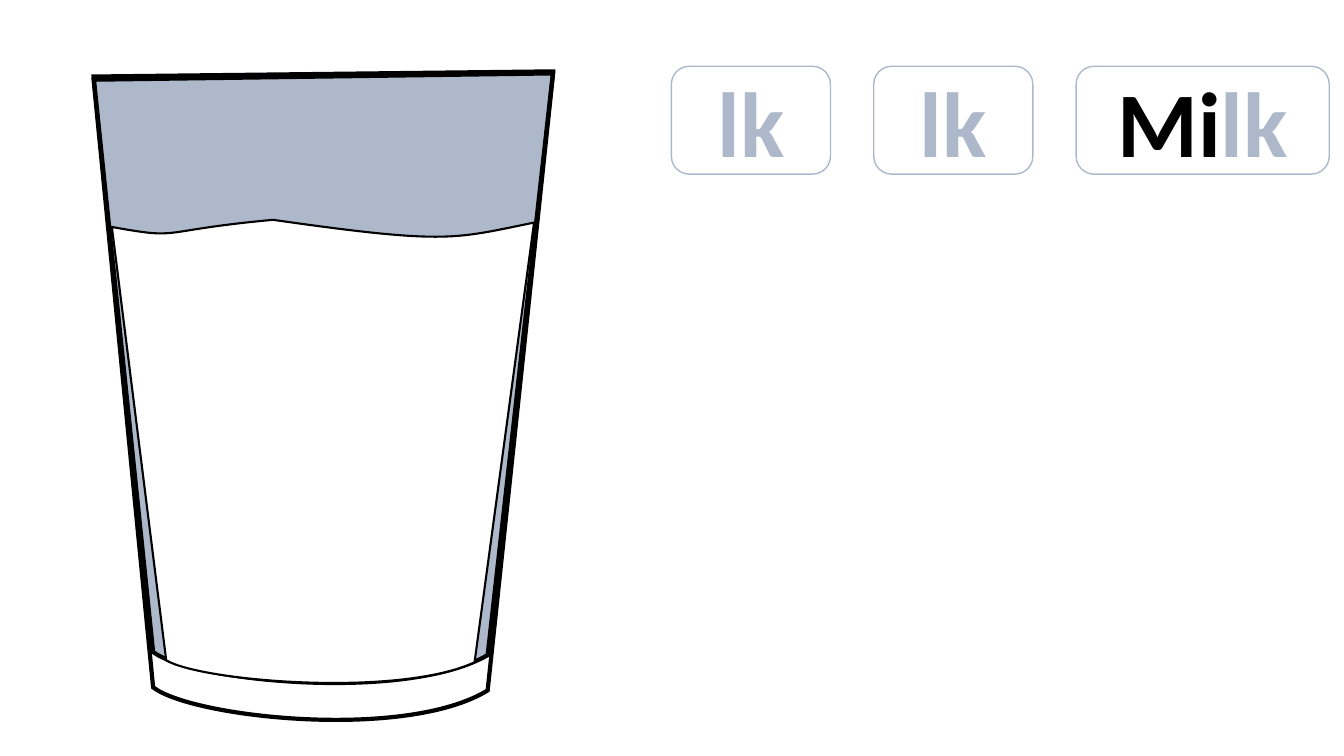
from dataclasses import dataclass

from lxml.etree import SubElement
from pptx import Presentation
from pptx.dml.color import RGBColor
from pptx.enum.shapes import MSO_SHAPE
from pptx.enum.text import MSO_ANCHOR, PP_ALIGN
from pptx.oxml.ns import qn
from pptx.shapes.autoshape import Shape
from pptx.shapes.group import GroupShape
from pptx.slide import Slide
from pptx.util import Cm, Pt

Point = tuple[float, float]
Segment = tuple[Point, ...]


@dataclass(frozen=True)
class Theme:
    ink: RGBColor = RGBColor(0x00, 0x00, 0x00)
    milk: RGBColor = RGBColor(0xFF, 0xFF, 0xFF)
    glass: RGBColor = RGBColor(0xAD, 0xB9, 0xCA)
    font: str = "Calibri"
    letters: Pt = Pt(66)
    letter_outline: Pt = Pt(0.75)
    card_line: Pt = Pt(1)


@dataclass(frozen=True)
class GlassPart:
    start: Point
    segments: tuple[Segment, ...]
    bottom: float
    fill: RGBColor | None
    line: float


@dataclass(frozen=True)
class WordCard:
    letters: tuple[tuple[str, RGBColor], ...]
    width: float


THEME = Theme()
CARD_LEFT, CARD_TOP, CARD_PITCH, CARD_HEIGHT = 16.92, 1.67, 5.1, 2.72

GLASS_PARTS = (
    GlassPart(
        (2.36, 1.93),
        (((13.94, 1.8),), ((12.29, 16.51),),
         ((10.21, 17.7), (4.83, 17.17), (3.86, 16.43))),
        17.22, THEME.glass, 3),
    GlassPart(
        (2.36, 2.01),
        (((13.94, 1.85),), ((12.29, 17.4),),
         ((10.21, 18.67), (4.83, 18.08), (3.86, 17.32))),
        18.14, None, 3),
    GlassPart(
        (2.82, 5.72),
        (((4.65, 6.05), (3.86, 5.82), (6.88, 5.54)),
         ((11.3, 6.17), (11.43, 6.02), (13.46, 5.61)),
         ((11.96, 16.69),),
         ((10.03, 17.58), (5.08, 17.17), (4.19, 16.64))),
        17.22, THEME.milk, 1.5),
)

ENDING = ("lk", THEME.glass)
WORD_CARDS = (
    WordCard((ENDING,), 4.01),
    WordCard((ENDING,), 4.01),
    WordCard((("Mi", THEME.ink), ENDING), 6.38),
)


def trace_curves(outline: Shape, part: GlassPart) -> None:
    path = outline._element.spPr.find(".//" + qn("a:path"))
    for step in list(path):
        path.remove(step)
    steps = [("a:moveTo", (part.start,))]
    for segment in part.segments:
        steps.append(("a:cubicBezTo" if len(segment) == 3 else "a:lnTo", segment))
    for tag, points in steps:
        step = SubElement(path, qn(tag))
        for x, y in points:
            SubElement(step, qn("a:pt"),
                       x=str(Cm(x) - outline.left), y=str(Cm(y) - outline.top))
    SubElement(path, qn("a:close"))


def draw_glass_part(tumbler: GroupShape, part: GlassPart) -> None:
    corners = [segment[-1] for segment in part.segments]
    corners.append((part.start[0], part.bottom))
    builder = tumbler.shapes.build_freeform(Cm(part.start[0]), Cm(part.start[1]))
    builder.add_line_segments([(Cm(x), Cm(y)) for x, y in corners])
    outline = builder.convert_to_shape()
    trace_curves(outline, part)
    outline.shadow.inherit = False
    if part.fill is None:
        outline.fill.background()
    else:
        outline.fill.solid()
        outline.fill.fore_color.rgb = part.fill
    outline.line.color.rgb = THEME.ink
    outline.line.width = Pt(part.line)
    stroke = outline._element.spPr.find(qn("a:ln"))
    SubElement(stroke, qn("a:miter"), lim="800000")


def draw_word_card(slide: Slide, card: WordCard, left: float) -> None:
    frame = slide.shapes.add_shape(
        MSO_SHAPE.ROUNDED_RECTANGLE,
        Cm(left), Cm(CARD_TOP), Cm(card.width), Cm(CARD_HEIGHT))
    frame.shadow.inherit = False
    frame.fill.solid()
    frame.fill.fore_color.rgb = THEME.milk
    frame.line.color.rgb = THEME.glass
    frame.line.width = THEME.card_line
    frame.text_frame.word_wrap = True
    frame.text_frame.vertical_anchor = MSO_ANCHOR.MIDDLE
    word = frame.text_frame.paragraphs[0]
    word.alignment = PP_ALIGN.CENTER
    for letters, color in card.letters:
        run = word.add_run()
        run.text = letters
        run.font.name = THEME.font
        run.font.size = THEME.letters
        run.font.bold = True
        run.font.fill.solid()
        run.font.fill.fore_color.rgb = color
        properties = run._r.get_or_add_rPr()
        edge = SubElement(properties, qn("a:ln"), w=str(int(THEME.letter_outline)))
        edge_fill = SubElement(edge, qn("a:solidFill"))
        SubElement(edge_fill, qn("a:srgbClr"), val=str(THEME.ink))
        properties.insert(0, edge)


def main() -> None:
    deck = Presentation()
    deck.slide_width, deck.slide_height = Cm(33.87), Cm(19.05)
    slide = deck.slides.add_slide(deck.slide_layouts[6])
    tumbler = slide.shapes.add_group_shape()
    for part in GLASS_PARTS:
        draw_glass_part(tumbler, part)
    for index, card in enumerate(WORD_CARDS):
        draw_word_card(slide, card, CARD_LEFT + index * CARD_PITCH)
    deck.save("out.pptx")


if __name__ == "__main__":
    main()
